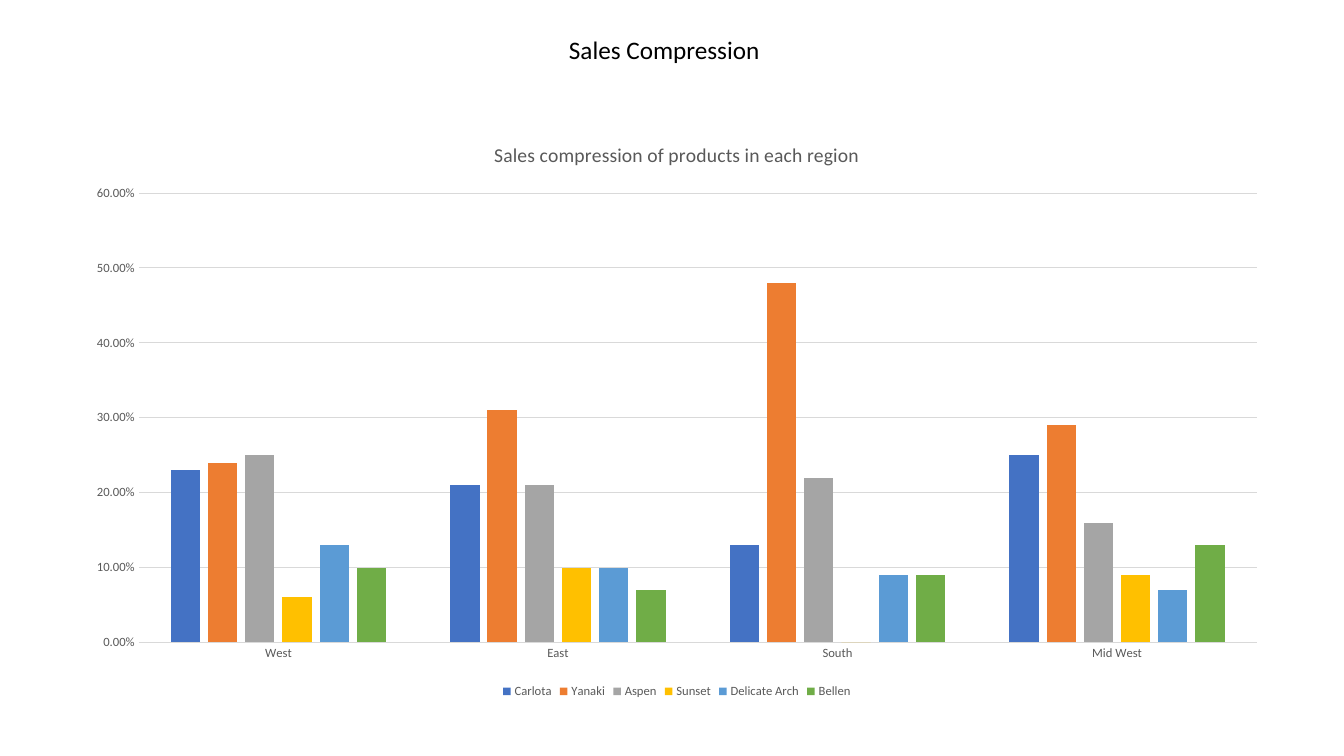
from dataclasses import dataclass

from pptx import Presentation
from pptx.chart.data import CategoryChartData
from pptx.dml.color import RGBColor
from pptx.enum.chart import XL_CHART_TYPE, XL_LEGEND_POSITION, XL_TICK_MARK
from pptx.enum.text import PP_ALIGN
from pptx.util import Pt

COLUMN = XL_CHART_TYPE.COLUMN_CLUSTERED
BOTTOM = XL_LEGEND_POSITION.BOTTOM
NO_TICK = XL_TICK_MARK.NONE
CENTER = PP_ALIGN.CENTER


@dataclass(frozen=True)
class Theme:
    """Colours, font and type sizes of the slide."""
    face: str = "Calibri"
    ink: str = "000000"
    gray: str = "595959"
    rule: str = "D9D9D9"
    head: int = 18
    title: int = 14
    base: int = 10
    label: int = 9
    line: float = 0.75


THEME = Theme()
REGIONS = ["West", "East", "South", "Mid West"]
SALES = [
    ("Carlota", "4472C4", [0.23, 0.21, 0.13, 0.25]),
    ("Yanaki", "ED7D31", [0.24, 0.31, 0.48, 0.29]),
    ("Aspen", "A5A5A5", [0.25, 0.21, 0.22, 0.16]),
    ("Sunset", "FFC000", [0.06, 0.1, 0, 0.09]),
    ("Delicate Arch", "5B9BD5", [0.13, 0.1, 0.09, 0.07]),
    ("Bellen", "70AD47", [0.1, 0.07, 0.09, 0.13]),
]


def style(font, size, color):
    """Set the face, size and colour of a font."""
    font.name = THEME.face
    font.size = Pt(size)
    font.bold = False
    font.color.rgb = RGBColor.from_string(color)


def rule(line):
    """Give a line the thin gray look."""
    line.color.rgb = RGBColor.from_string(THEME.rule)
    line.width = Pt(THEME.line)


def add_head(slide, box):
    """Place the slide heading in the box."""
    frame = slide.shapes.add_textbox(*map(Pt, box)).text_frame
    frame.word_wrap = True
    para = frame.paragraphs[0]
    para.text = "Sales Compression"
    para.alignment = CENTER
    style(para.font, THEME.head, THEME.ink)


def style_axes(chart):
    """Format both axes and the grid."""
    for axis in (chart.category_axis, chart.value_axis):
        axis.major_tick_mark = axis.minor_tick_mark = NO_TICK
        style(axis.tick_labels.font, THEME.label, THEME.gray)
    rule(chart.category_axis.format.line)
    value = chart.value_axis
    value.minimum_scale, value.maximum_scale, value.major_unit = 0, 0.6, 0.1
    value.format.line.fill.background()
    value.has_major_gridlines = True
    rule(value.major_gridlines.format.line)
    value.tick_labels.number_format = "0.00%"
    value.tick_labels.number_format_is_linked = False


def add_sales(slide, box):
    """Place the column chart of sales by region in the box."""
    data = CategoryChartData(number_format="0.00%")
    data.categories = REGIONS
    for name, _, vals in SALES:
        data.add_series(name, vals)
    chart = slide.shapes.add_chart(COLUMN, *map(Pt, box), data).chart
    style(chart.font, THEME.base, THEME.ink)

    chart.has_title = True
    para = chart.chart_title.text_frame.paragraphs[0]
    para.text = "Sales compression of products in each region"
    style(para.font, THEME.title, THEME.gray)
    chart.chart_title.include_in_layout = False

    chart.has_legend = True
    chart.legend.position = BOTTOM
    chart.legend.include_in_layout = False
    style(chart.legend.font, THEME.label, THEME.gray)

    style_axes(chart)
    plot = chart.plots[0]
    plot.gap_width, plot.overlap = 219, -27
    plot.vary_by_categories = False
    for series, (_, color, _) in zip(plot.series, SALES):
        series.invert_if_negative = False
        series.format.fill.solid()
        series.format.fill.fore_color.rgb = RGBColor.from_string(color)


def main():
    """Build and save the slide."""
    deck = Presentation()
    deck.slide_width, deck.slide_height = Pt(960), Pt(540)
    slide = deck.slides.add_slide(deck.slide_layouts[6])
    add_sales(slide, (52, 86.5, 863, 415.5))
    add_head(slide, (250.5, 21, 448, 29))
    deck.save("out.pptx")


if __name__ == "__main__":
    main()
